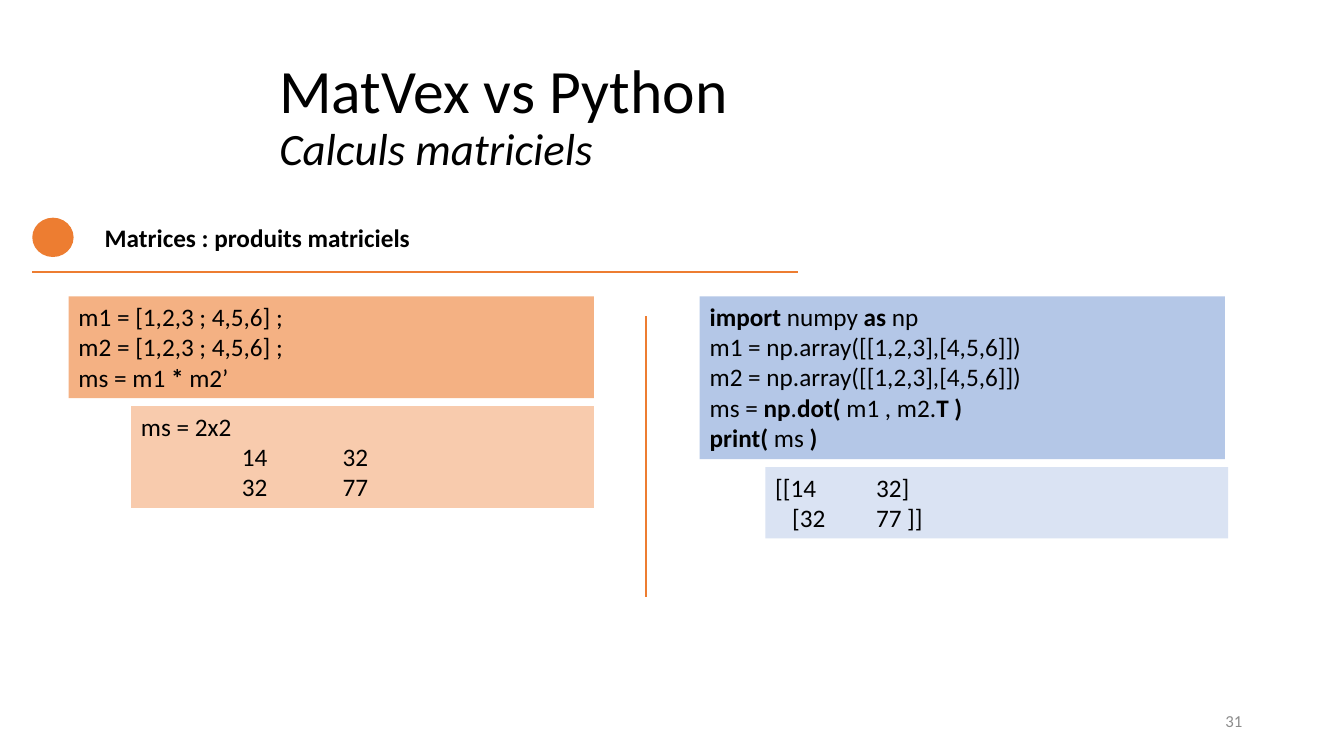
"""Build the slide comparing matrix products in MatVex and Python."""
from lxml import etree
from pptx import Presentation
from pptx.dml.color import RGBColor
from pptx.enum import shapes, text
from pptx.oxml.ns import qn
from pptx.util import Inches, Pt

COLORS = {
    "accent": "ED7D31", "text": "000000", "number": "8C8C8C",
    "matvex_code": "F4B183", "matvex_result": "F8CBAD",
    "python_code": "B4C7E7", "python_result": "DAE3F3",
}
FONT = "Calibri"
TITLE, SUBTITLE = "MatVex vs Python", "Calculs matriciels"
HEADING = "Matrices : produits matriciels"
PAGE_NUMBER = "31"

MATVEX_CODE = [
    [("m1 = [1,2,3 ; 4,5,6] ;", False)],
    [("m2 = [1,2,3 ; 4,5,6] ;", False)],
    [("ms = m1 ", False), ("*", True), (" m2’", False)],
]
MATVEX_RESULT = [
    [("ms = 2x2", False)],
    [("\t14\t32", False)],
    [("\t32\t77", False)],
]
PYTHON_CODE = [
    [("import ", True), ("numpy ", False), ("as ", True), ("np", False)],
    [("m1 = np.array([[1,2,3],[4,5,6]])", False)],
    [("m2 = np.array([[1,2,3],[4,5,6]])", False)],
    [("ms = ", False), ("np", True), (".", False), ("dot( ", True),
     ("m1 , m2.", False), ("T )", True)],
    [("print( ", True), ("ms ", False), (")", True)],
]
PYTHON_RESULT = [
    [("[[14\t32]", False)],
    [("   [32\t77 ]]", False)],
]
COLUMNS = [
    (0.68, 1.3, "matvex", MATVEX_CODE, MATVEX_RESULT),
    (6.94, 7.59, "python", PYTHON_CODE, PYTHON_RESULT),
]
CODE_TOP, CODE_WIDTH, RESULT_WIDTH = 2.94, 5.21, 4.59
LINE_HEIGHT, PADDING, BOX_GAP = 0.303, 0.1, 0.08
TAB_STOPS = (1, 2)


def rgb(color):
    return RGBColor.from_string(COLORS[color])


def add_run(paragraph, content, size=18, bold=False, italic=False, color="text"):
    run = paragraph.add_run()
    run.text = content
    font = run.font
    font.name, font.size, font.bold, font.italic = FONT, Pt(size), bold, italic
    font.color.rgb = rgb(color)


def add_filled(slide, preset, box, color):
    filled = slide.shapes.add_shape(preset, *map(Inches, box))
    filled.shadow.inherit = False
    filled.fill.solid()
    filled.fill.fore_color.rgb = rgb(color)
    filled.line.fill.background()
    return filled


def add_rule(slide, start, end):
    rule = slide.shapes.add_connector(
        shapes.MSO_CONNECTOR.STRAIGHT, *map(Inches, start + end))
    rule.line.color.rgb = rgb("accent")
    rule.line.width = Pt(1.5)
    etree.SubElement(rule._element.spPr, qn("a:effectLst"))


def add_listing(slide, left, top, width, color, lines):
    height = len(lines) * LINE_HEIGHT + PADDING
    box = (left, top, width, height)
    frame = add_filled(slide, shapes.MSO_SHAPE.RECTANGLE, box, color).text_frame
    frame.word_wrap = True
    frame.vertical_anchor = text.MSO_ANCHOR.TOP
    for index, line in enumerate(lines):
        paragraph = frame.add_paragraph() if index else frame.paragraphs[0]
        paragraph.alignment = text.PP_ALIGN.LEFT
        tabs = etree.SubElement(paragraph._p.get_or_add_pPr(), qn("a:tabLst"))
        for stop in TAB_STOPS:
            etree.SubElement(tabs, qn("a:tab"), pos=str(Inches(stop)), algn="l")
        for content, bold in line:
            add_run(paragraph, content, bold=bold)
    return top + height


def add_label(slide, box, content, wrap, align, anchor, **style):
    frame = slide.shapes.add_textbox(*map(Inches, box)).text_frame
    frame.word_wrap = wrap
    frame.vertical_anchor = anchor
    frame.paragraphs[0].alignment = align
    add_run(frame.paragraphs[0], content, **style)


def add_title(slide):
    title = slide.shapes.title
    title.left, title.top, title.width, title.height = map(
        Inches, (2.67, 0.44, 7.49, 1.45))
    frame = title.text_frame
    frame.auto_size = text.MSO_AUTO_SIZE.NONE
    frame.vertical_anchor = text.MSO_ANCHOR.MIDDLE
    heading = frame.paragraphs[0]
    heading.alignment = text.PP_ALIGN.LEFT
    heading.line_spacing = 0.9
    add_run(heading, TITLE, size=44)
    heading.add_line_break()
    add_run(heading, SUBTITLE, size=32, italic=True)


def main():
    deck = Presentation()
    deck.slide_width, deck.slide_height = Inches(13.33), Inches(7.5)
    slide = deck.slides.add_slide(deck.slide_layouts[5])
    add_title(slide)
    add_rule(slide, (0.32, 2.7), (7.91, 2.7))
    add_filled(slide, shapes.MSO_SHAPE.OVAL, (0.32, 2.16, 0.41, 0.39), "accent")
    add_label(slide, (0.94, 2.16, 3.25, 0.4), HEADING, False,
              text.PP_ALIGN.LEFT, text.MSO_ANCHOR.TOP, bold=True)
    add_rule(slide, (6.41, 5.92), (6.41, 3.14))
    for code_left, result_left, language, code, result in COLUMNS:
        bottom = add_listing(slide, code_left, CODE_TOP, CODE_WIDTH,
                             f"{language}_code", code)
        add_listing(slide, result_left, bottom + BOX_GAP, RESULT_WIDTH,
                    f"{language}_result", result)
    add_label(slide, (9.42, 6.95, 3, 0.4), PAGE_NUMBER, True,
              text.PP_ALIGN.RIGHT, text.MSO_ANCHOR.MIDDLE, size=12, color="number")
    deck.save("out.pptx")


if __name__ == "__main__":
    main()
